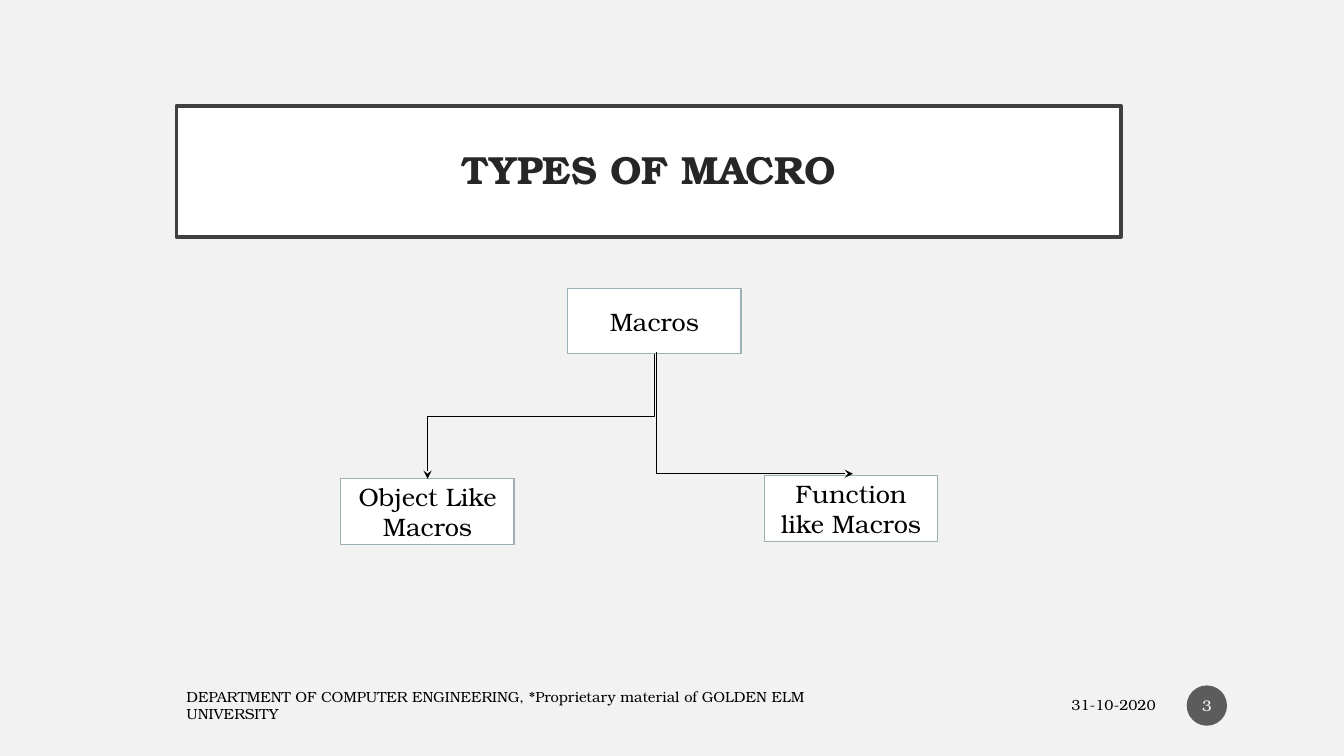
from lxml.etree import SubElement
from pptx import Presentation
from pptx.dml.color import RGBColor
from pptx.enum.shapes import MSO_CONNECTOR as Link, MSO_SHAPE as Shape
from pptx.enum.text import MSO_ANCHOR as Anchor, PP_ALIGN as Align
from pptx.oxml.ns import qn
from pptx.util import Inches, Pt

FONT = "TeX Gyre Bonum"
BACKGROUND = RGBColor(0xF2, 0xF2, 0xF2)
WHITE = RGBColor(0xFF, 0xFF, 0xFF)
BLACK = RGBColor(0, 0, 0)
TITLE_INK = RGBColor(0x26, 0x26, 0x26)
TITLE_EDGE = RGBColor(0x40, 0x40, 0x40)
NODE_EDGE = RGBColor(0x9B, 0xAF, 0xB5)
BADGE = RGBColor(0x1D, 0x1D, 0x1D)

# Content
TITLE = "TYPES OF MACRO"
FOOTER = ("DEPARTMENT OF COMPUTER ENGINEERING, "
          "*Proprietary material of GOLDEN ELM UNIVERSITY")
DATE = "31-10-2020"
PAGE_NUMBER = "3"
NODE_WIDTH, NODE_HEIGHT = 1.72, 0.65
NODES = [  # text, left, top
    ("Macros", 5.63, 2.86),
    ("Object Like Macros", 3.38, 4.75),
    ("Function like Macros", 7.58, 4.72),
]

deck = Presentation()
deck.slide_width, deck.slide_height = Inches(13.33), Inches(7.5)
page = deck.slides.add_slide(deck.slide_layouts[6])
page.background.fill.solid()
page.background.fill.fore_color.rgb = BACKGROUND


def write(box, text, size, color, align, margins=(0.1, 0.05)):
    frame = box.text_frame
    frame.text = text
    frame.word_wrap = True
    frame.vertical_anchor = Anchor.MIDDLE
    frame.margin_left = frame.margin_right = Inches(margins[0])
    frame.margin_top = frame.margin_bottom = Inches(margins[1])
    para = frame.paragraphs[0]
    para.alignment = align
    font = para.runs[0].font
    font.name, font.size, font.color.rgb = FONT, Pt(size), color
    return para


def add_box(kind, place, fill, edge=None, edge_width=1):
    box = page.shapes.add_shape(kind, *map(Inches, place))
    box.shadow.inherit = False
    box.fill.solid()
    box.fill.fore_color.rgb = fill
    if edge is None:
        box.line.fill.background()
    else:
        box.line.color.rgb = edge
        box.line.width = Pt(edge_width)
    return box


def add_arrow(left, top, right, bottom, bend, turn=0):
    arrow = page.shapes.add_connector(
        Link.ELBOW, *map(Inches, (left, top, right, bottom)))
    arrow.line.color.rgb = BLACK
    arrow.line.width = Pt(0.75)
    props = arrow._element.spPr
    props.find(qn("a:xfrm")).set("rot", str(turn * 60000))
    guides = props.find(qn("a:prstGeom")).find(qn("a:avLst"))
    SubElement(guides, qn("a:gd"), name="adj1", fmla=f"val {int(bend * 100000)}")
    SubElement(props.find(qn("a:ln")), qn("a:tailEnd"), type="stealth")
    SubElement(props, qn("a:effectLst"))


# Footer, date and page number
for text, left, width, align in [(FOOTER, 1.75, 6.45, Align.LEFT),
                                 (DATE, 8.55, 3.01, Align.RIGHT)]:
    box = page.shapes.add_textbox(*map(Inches, (left, 6.82, width, 0.35)))
    write(box, text, 10.5, BLACK, align)

badge = add_box(Shape.OVAL, (11.77, 6.8, 0.4, 0.4), BADGE)
badge_color = badge.fill._xPr.find(qn("a:solidFill"))[0]
SubElement(badge_color, qn("a:alpha"), val="70000")
write(badge, PAGE_NUMBER, 11, WHITE, Align.CENTER, (0.02, 0.05))

# Title
title = add_box(Shape.RECTANGLE, (1.75, 1.05, 9.37, 1.3), WHITE, TITLE_EDGE, 2.5)
heading = write(title, TITLE, 28, TITLE_INK, Align.CENTER, (0.2, 0.2))
heading.line_spacing = 0.9
heading.runs[0].font.bold = True

# Tree nodes
for text, left, top in NODES:
    node = add_box(Shape.RECTANGLE, (left, top, NODE_WIDTH, NODE_HEIGHT),
                   WHITE, NODE_EDGE)
    write(node, text, 18, BLACK, Align.CENTER)

# Arrow to the right: down first, then across
add_arrow(6.51, 3.49, 8.46, 4.7, bend=0)

# Arrow to the left: a quarter turn about its centre gives down, across, down
start_x, start_y = NODES[0][1] + NODE_WIDTH / 2, NODES[0][2] + NODE_HEIGHT
end_x, end_y = NODES[1][1] + NODE_WIDTH / 2, NODES[1][2]
middle_x, middle_y = (start_x + end_x) / 2, (start_y + end_y) / 2
half_drop, half_span = (end_y - start_y) / 2, (start_x - end_x) / 2
add_arrow(middle_x - half_drop, middle_y - half_span,
          middle_x + half_drop, middle_y + half_span, bend=0.5, turn=90)

deck.save("out.pptx")
